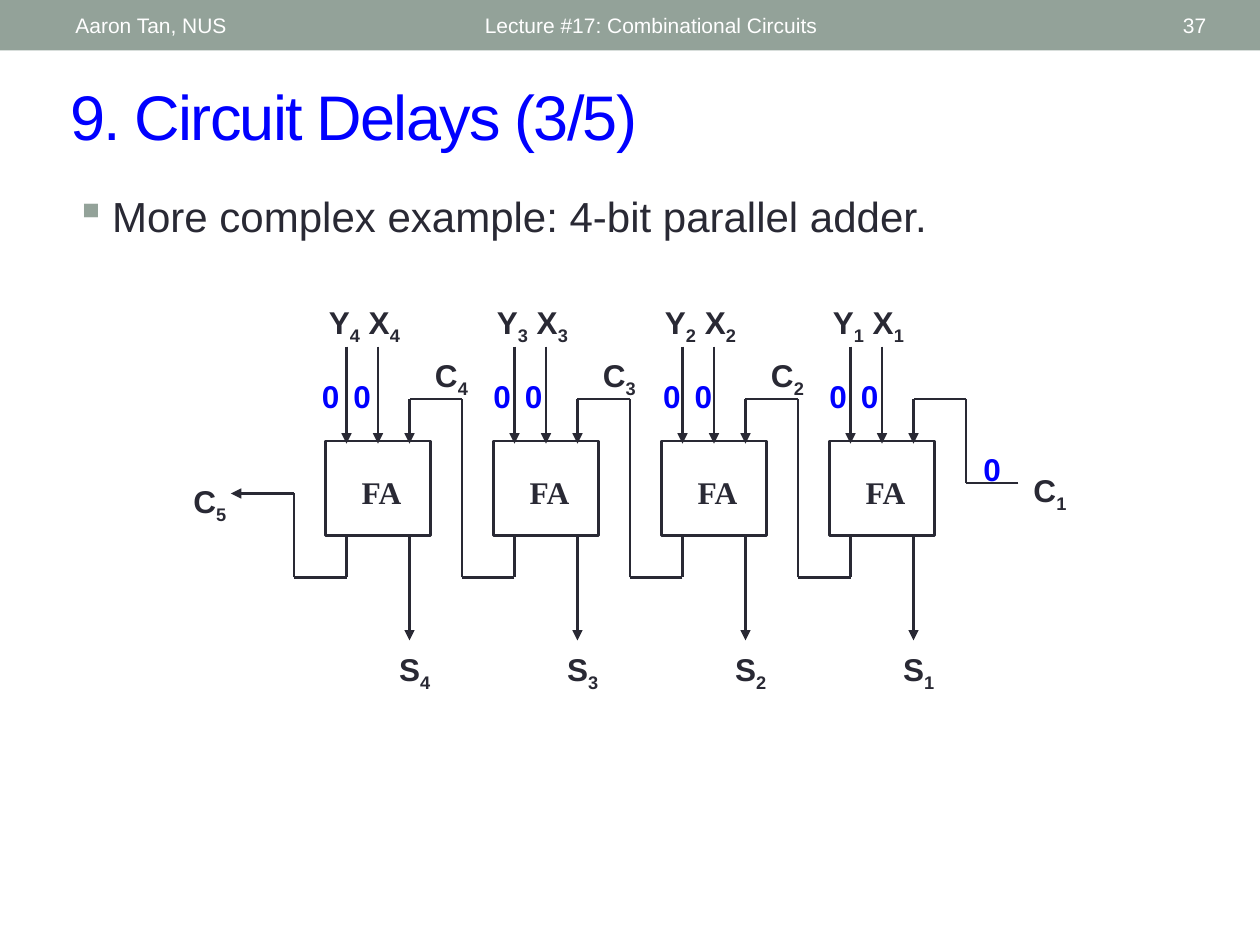
from lxml.etree import SubElement
from pptx import Presentation
from pptx.dml.color import RGBColor
from pptx.enum.shapes import MSO_CONNECTOR, MSO_SHAPE
from pptx.enum.text import MSO_ANCHOR, PP_ALIGN
from pptx.oxml.ns import qn
from pptx.util import Pt

COLORS = {"band": "93A299", "ink": "292934", "blue": "0000FF", "white": "FFFFFF"}
FIRST_ADDER_LEFT, ADDER_PITCH = 186, 96
ADDER_TOP, ADDER_WIDTH, ADDER_HEIGHT = 252, 60, 54
ADDER_BOTTOM = ADDER_TOP + ADDER_HEIGHT
ARROW_END = ADDER_TOP + 1.5
CARRY_TOP, CARRY_BOTTOM = 228, 330
# Left offset of the first input value, by bit number
VALUE_OFFSETS = {4: -12, 3: -10, 2: -9, 1: -10}


def color(name):
    return RGBColor.from_string(COLORS[name])


def add_bullet(paragraph, character, color_name, indent):
    properties = paragraph._p.get_or_add_pPr()
    properties.set("marL", str(Pt(indent)))
    properties.set("indent", str(-Pt(indent)))
    bullet_color = SubElement(properties, qn("a:buClr"))
    SubElement(bullet_color, qn("a:srgbClr")).set("val", COLORS[color_name])
    SubElement(properties, qn("a:buChar")).set("char", character)


def add_text(slide, runs, left, top, width, height, *, size=18, ink="ink",
             font="Arial", bold=False, align=PP_ALIGN.LEFT,
             anchor=MSO_ANCHOR.TOP, top_inset=3.6, spacing=0, bullet=None):
    """Add a text box; every second string in runs is a subscript."""
    box = slide.shapes.add_textbox(Pt(left), Pt(top), Pt(width), Pt(height))
    frame = box.text_frame
    frame.word_wrap = True
    frame.vertical_anchor = anchor
    frame.margin_top = Pt(top_inset)
    paragraph = frame.paragraphs[0]
    paragraph.alignment = align
    if bullet:
        add_bullet(paragraph, bullet, "band", 21)
    for index, text in enumerate(runs):
        run = paragraph.add_run()
        run.text = text
        run.font.name = font
        run.font.size = Pt(size)
        run.font.bold = bold
        run.font.color.rgb = color(ink)
        properties = run._r.get_or_add_rPr()
        if index % 2:
            properties.set("baseline", "-25000")
        if spacing:
            properties.set("spc", str(spacing * 100))


def add_label(slide, runs, left, top, width, **text_format):
    add_text(slide, runs, left, top, width, 29, bold=True,
             align=PP_ALIGN.CENTER, top_inset=5.4, **text_format)


def add_value(slide, left, top):
    add_label(slide, ["0"], left, top, 30, ink="blue")


def add_rectangle(slide, left, top, width, height, fill=None, line=None):
    shape = slide.shapes.add_shape(MSO_SHAPE.RECTANGLE, Pt(left), Pt(top),
                                   Pt(width), Pt(height))
    shape.shadow.inherit = False
    if fill:
        shape.fill.solid()
        shape.fill.fore_color.rgb = color(fill)
    else:
        shape.fill.background()
    if line:
        shape.line.color.rgb = color(line)
        shape.line.width = Pt(1.5)
    else:
        shape.line.fill.background()


def add_wire(slide, *points, arrow=True):
    """Join the points with straight lines, the last with an arrowhead."""
    for start, end in zip(points, points[1:]):
        wire = slide.shapes.add_connector(
            MSO_CONNECTOR.STRAIGHT, *(Pt(value) for value in start + end))
        wire.line.color.rgb = color("ink")
        wire.line.width = Pt(1.25)
        if arrow and end == points[-1]:
            SubElement(wire.line._get_or_add_ln(), qn("a:tailEnd")).set("type", "triangle")
        SubElement(wire._element.spPr, qn("a:effectLst"))


def add_header(slide):
    add_rectangle(slide, 0, 0, 720, 28.8, fill="band")
    for text, left, width, align in (
            ("Aaron Tan, NUS", 36, 228, PP_ALIGN.LEFT),
            ("Lecture #17: Combinational Circuits", 270, 324, PP_ALIGN.LEFT),
            ("37", 628, 68.4, PP_ALIGN.RIGHT)):
        add_text(slide, [text], left, 1.5, width, 26, size=12, ink="white",
                 align=align, anchor=MSO_ANCHOR.MIDDLE)


def add_adder(slide, left, bit):
    """Draw one full adder with its inputs, sum and labels."""
    number = str(bit)
    add_rectangle(slide, left, ADDER_TOP, ADDER_WIDTH, ADDER_HEIGHT, line="ink")
    add_label(slide, ["FA"], left + 8, 265, 48, font="Times New Roman")
    add_label(slide, ["Y", number, " X", number], left - 12, 168, 68.4)
    for input_index in range(2):
        x = left + 12 + 24 * input_index * 0.75
        add_wire(slide, (x, 198), (x, ARROW_END))
        add_value(slide, left + VALUE_OFFSETS[bit] + 18 * input_index, 210)
    add_wire(slide, (left + 48, ADDER_BOTTOM), (left + 48, 366))
    add_label(slide, ["S", number], left + 30, 366, 42)


def add_carry(slide, left, bit):
    """Draw the carry from the next adder on the right into this one."""
    source, middle, target = left + 108, left + 78, left + 48
    add_wire(slide, (source, ADDER_BOTTOM), (source, CARRY_BOTTOM),
             (middle, CARRY_BOTTOM), (middle, CARRY_TOP),
             (target, CARRY_TOP), (target, ARROW_END))
    add_label(slide, ["C", str(bit)], left + 54, 198, 36)


def add_outer_carries(slide, first_left, last_left):
    source, middle = first_left + 12, first_left - 18
    add_wire(slide, (source, ADDER_BOTTOM), (source, CARRY_BOTTOM),
             (middle, CARRY_BOTTOM), (middle, 282), (middle - 36, 282))
    add_label(slide, ["C", "5"], 102, 270, 36)
    middle, target = last_left + 78, last_left + 48
    add_wire(slide, (middle + 30, 276), (middle, 276), (middle, CARRY_TOP),
             (target, CARRY_TOP), (target, ARROW_END))
    add_label(slide, ["C", "1"], 582, 264, 36)
    add_value(slide, middle, 252)


def main():
    presentation = Presentation()
    presentation.slide_width, presentation.slide_height = Pt(720), Pt(540)
    slide = presentation.slides.add_slide(presentation.slide_layouts[6])
    add_header(slide)
    add_text(slide, ["9. Circuit Delays (3/5)"], 33, 41, 663, 50.4, size=36,
             ink="blue", anchor=MSO_ANCHOR.MIDDLE, spacing=-1)
    add_text(slide, ["More complex example: 4-bit parallel adder."],
             36, 102, 648, 54, size=24, top_inset=6.6, bullet="▪")
    lefts = {bit: FIRST_ADDER_LEFT + ADDER_PITCH * (4 - bit) for bit in (4, 3, 2, 1)}
    for bit, left in lefts.items():
        add_adder(slide, left, bit)
        if bit > 1:
            add_carry(slide, left, bit)
    add_outer_carries(slide, lefts[4], lefts[1])
    presentation.save("out.pptx")


if __name__ == "__main__":
    main()
